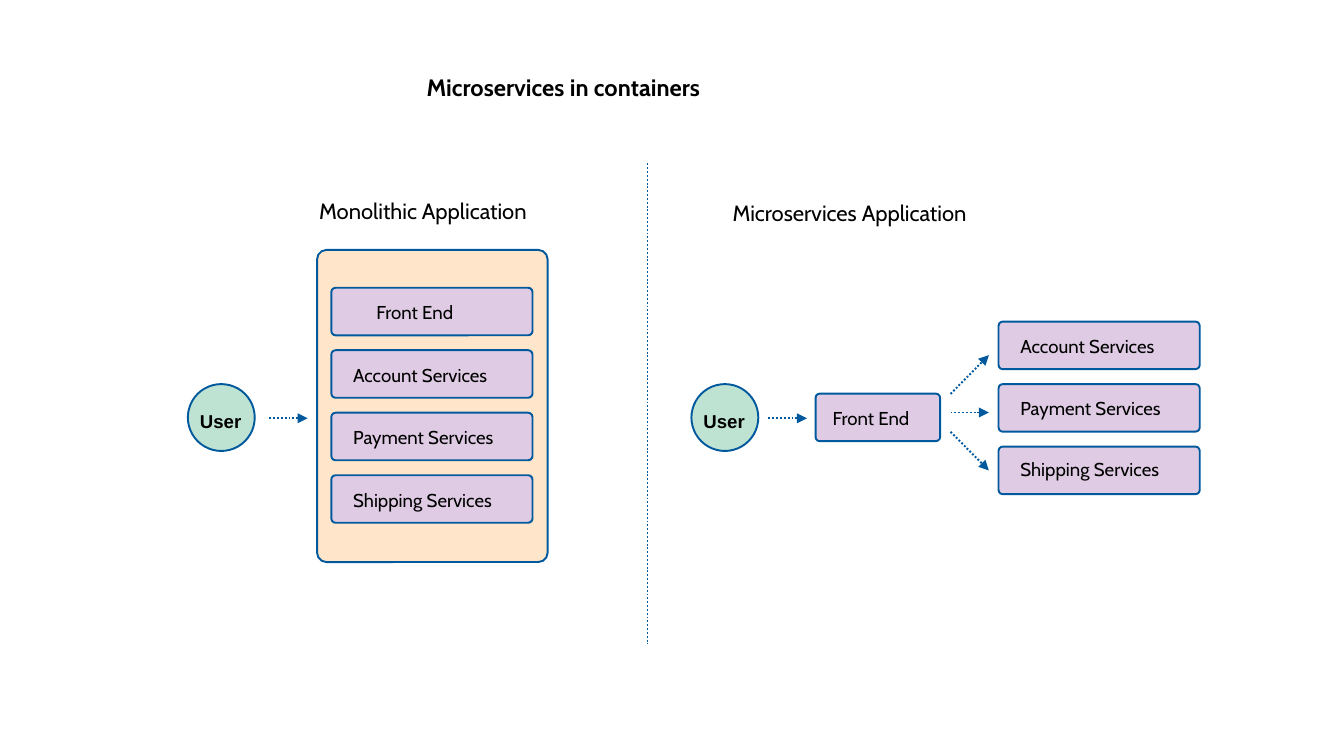
from dataclasses import dataclass

import lxml.etree
import pptx
import pptx.dml.color
import pptx.enum.dml
import pptx.enum.shapes
import pptx.enum.text
import pptx.oxml.ns
import pptx.util
from pptx.shapes.autoshape import Shape
from pptx.slide import Slide

Pt = pptx.util.Pt
SHAPES = pptx.enum.shapes.MSO_SHAPE
BLUE = "00599D"
PEACH = "FFE5CA"
LILAC = "DFCCE4"
MINT = "BEE3D3"
BLACK = "000000"
LINE_WIDTH = 1.13
BOX_HEIGHT = 28.1
BOX_WIDTH = 118.8
BOX_STEP = 36.9
USER_SIZE = 39.5
LABEL_WIDTH = 141.8
LABEL_HEIGHT = 41


@dataclass
class Label:
    text: str
    left: float
    top: float
    width: float = LABEL_WIDTH
    height: float = LABEL_HEIGHT
    size: float = 11
    font: str = "Cabin"
    bold: bool = False


@dataclass
class Box:
    text: str
    left: float
    top: float
    width: float = BOX_WIDTH
    text_indent: float = 5.8
    text_drop: float = 4.3


@dataclass
class Link:
    start_x: float
    start_y: float
    end_x: float
    end_y: float
    arrow: bool = True


def color(value: str) -> pptx.dml.color.RGBColor:
    return pptx.dml.color.RGBColor.from_string(value)


def draw_shape(slide: Slide, kind: SHAPES, left: float, top: float,
               width: float, height: float, fill: str) -> Shape:
    shape = slide.shapes.add_shape(kind, Pt(left), Pt(top), Pt(width), Pt(height))
    shape.shadow.inherit = False
    shape.fill.solid()
    shape.fill.fore_color.rgb = color(fill)
    shape.line.color.rgb = color(BLUE)
    shape.line.width = Pt(LINE_WIDTH)
    return shape


def draw_label(slide: Slide, label: Label) -> None:
    shape = slide.shapes.add_textbox(Pt(label.left), Pt(label.top),
                                     Pt(label.width), Pt(label.height))
    frame = shape.text_frame
    frame.word_wrap = True
    frame.auto_size = pptx.enum.text.MSO_AUTO_SIZE.SHAPE_TO_FIT_TEXT
    run = frame.paragraphs[0].add_run()
    run.text = label.text
    run.font.name = label.font
    run.font.size = Pt(label.size)
    run.font.bold = label.bold
    run.font.color.rgb = color(BLACK)


def draw_box(slide: Slide, box: Box) -> None:
    shape = draw_shape(slide, SHAPES.ROUNDED_RECTANGLE, box.left, box.top,
                       box.width, BOX_HEIGHT, LILAC)
    shape.adjustments[0] = 0.09
    draw_label(slide, Label(box.text, box.left + box.text_indent,
                            box.top + box.text_drop))


def draw_user(slide: Slide, left: float, top: float) -> None:
    draw_shape(slide, SHAPES.OVAL, left, top, USER_SIZE, USER_SIZE, MINT)
    draw_label(slide, Label("User", left, top + 11.5, font="Arial", bold=True))


def draw_link(slide: Slide, link: Link) -> None:
    connector = slide.shapes.add_connector(
        pptx.enum.shapes.MSO_CONNECTOR.STRAIGHT,
        Pt(link.start_x), Pt(link.start_y), Pt(link.end_x), Pt(link.end_y))
    connector.line.color.rgb = color(BLUE)
    connector.line.width = Pt(LINE_WIDTH)
    connector.line.dash_style = pptx.enum.dml.MSO_LINE.ROUND_DOT
    qualified = pptx.oxml.ns.qn
    properties = connector._element.spPr
    if link.arrow:
        outline = properties.find(qualified("a:ln"))
        lxml.etree.SubElement(outline, qualified("a:tailEnd"), type="triangle")
    lxml.etree.SubElement(properties, qualified("a:effectLst"))


def main() -> None:
    presentation = pptx.Presentation()
    presentation.slide_width = Pt(793.44)
    presentation.slide_height = Pt(446.4)
    slide = presentation.slides.add_slide(presentation.slide_layouts[6])

    monolith = draw_shape(slide, SHAPES.ROUNDED_RECTANGLE,
                          187.2, 147.6, 136.1, 184.3, PEACH)
    monolith.adjustments[0] = 0.04

    services = ["Account Services", "Payment Services", "Shipping Services"]
    boxes = [Box("Front End", 195.6, 169.9, text_indent=19.6),
             Box("Front End", 481.5, 232.4, width=73.6, text_indent=3)]
    for index, service in enumerate(services):
        boxes.append(Box(service, 195.6, 169.9 + BOX_STEP * (index + 1)))
        drop = 2.9 if service == services[-1] else 4.3
        boxes.append(Box(service, 589.5, 189.9 + BOX_STEP * index, text_drop=drop))
    for box in boxes:
        draw_box(slide, box)

    for left in (110.9, 408.2):
        draw_user(slide, left, 226.8)

    for link in (
        Link(382.3, 96.5, 382.3, 380.2, arrow=False),
        Link(159, 247, 181.6, 247),
        Link(453.7, 247, 476.4, 247),
        Link(561.2, 232.6, 583.8, 209.7),
        Link(561.2, 243.6, 583.8, 243.6),
        Link(561.2, 255, 583.8, 277.8),
    ):
        draw_link(slide, link)

    for label in (
        Label("Microservices in containers", 244.8, 39.6, 248.4, 25.9, 14, bold=True),
        Label("Monolithic Application", 181.4, 113.3, 198.7, 33.1, 13),
        Label("Microservices Application", 425.5, 114.3, 198.7, 33.1, 13),
    ):
        draw_label(slide, label)

    presentation.save("out.pptx")


if __name__ == "__main__":
    main()
